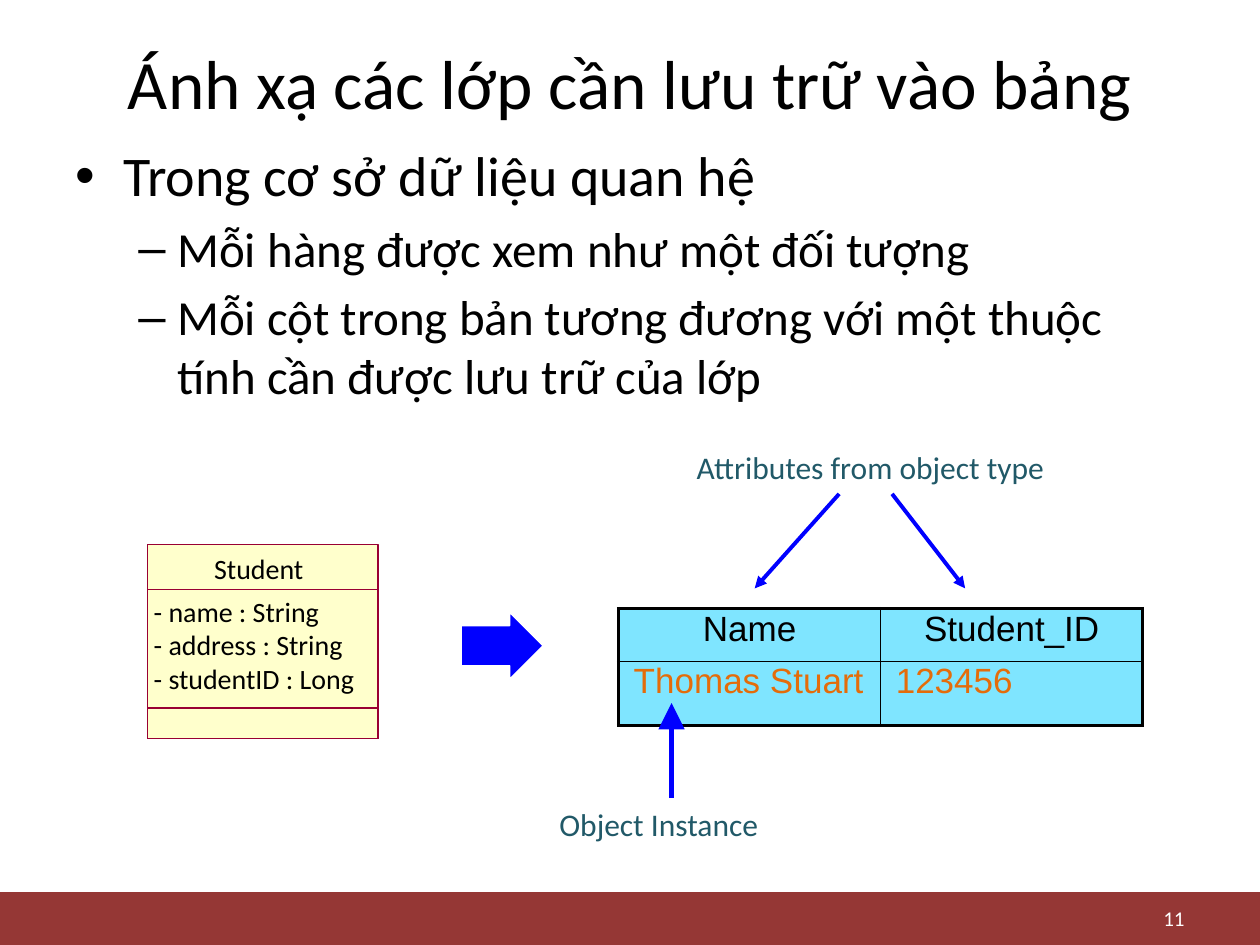
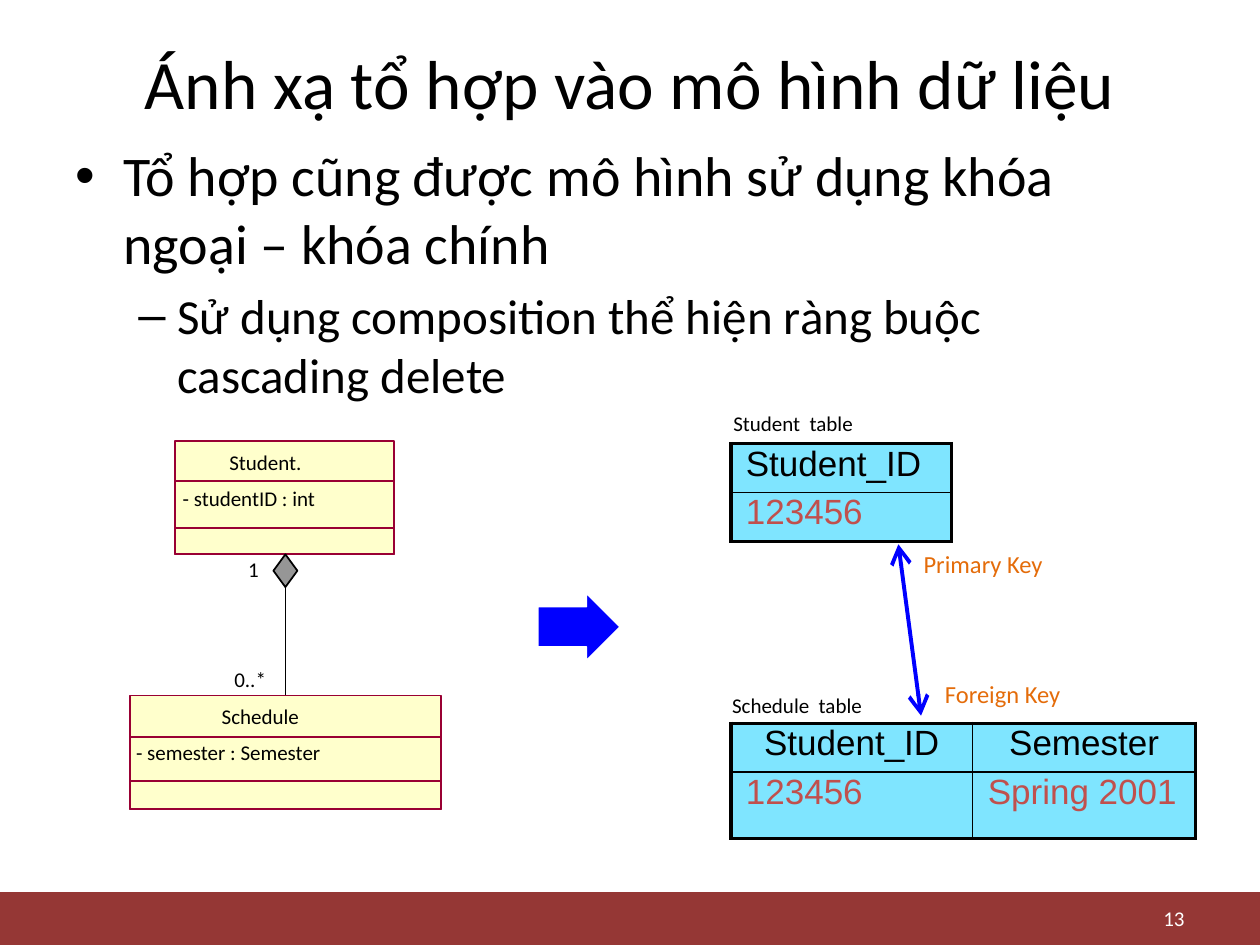
import pptx
import pptx.util
import pptx.dml.color
import pptx.enum.shapes
import pptx.enum.text
import pptx.oxml
import pptx.oxml.ns
from lxml import etree

Inches, Pt = pptx.util.Inches, pptx.util.Pt
RGBColor = pptx.dml.color.RGBColor
Align = pptx.enum.text.PP_ALIGN
Anchor = pptx.enum.text.MSO_ANCHOR
Preset = pptx.enum.shapes.MSO_SHAPE
qn = pptx.oxml.ns.qn

BLACK = RGBColor(0x00, 0x00, 0x00)
WHITE = RGBColor(0xFF, 0xFF, 0xFF)
BAND_RED = RGBColor(0x95, 0x37, 0x35)
CLASS_FILL = RGBColor(0xFF, 0xFF, 0xCC)
CLASS_LINE = RGBColor(0x99, 0x00, 0x33)
TABLE_CYAN = RGBColor(0x00, 0xCC, 0xFF)
ARROW_BLUE = RGBColor(0x00, 0x00, 0xFF)
TEAL = RGBColor(0x21, 0x59, 0x68)
ORANGE = RGBColor(0xE4, 0x6C, 0x0A)
BRICK = RGBColor(0xC0, 0x50, 0x4D)
GRAY = RGBColor(0x96, 0x96, 0x96)

LABEL_INSETS = (0.12, 0.06)
THICK, THIN = 2.25, 1
# level: (bullet, size, left margin, first-line indent)
BULLETS = {0: ("•", 32, 0.38, -0.38), 1: ("–", 28, 0.81, -0.31)}

SLIDES = [
    {
        "number": 11,
        "title": "Ánh xạ các lớp cần lưu trữ vào bảng",
        "body": [
            (0, "Trong cơ sở dữ liệu quan hệ"),
            (1, "Mỗi hàng được xem như một đối tượng"),
            (1, "Mỗi cột trong bản tương đương với một thuộc tính cần được lưu trữ của lớp"),
        ],
        "classes": [
            {"box": (1.17, 4.32, 1.83, 1.54), "dividers": (4.68, 5.62), "border": 0, "size": 16,
             "name": ("Student", 1.7, 4.38, 0.85),
             "attributes": [("- name : String", 1.22, 4.72, 1.53),
                            ("- address : String", 1.22, 4.98, 1.77),
                            ("- studentID : Long", 1.22, 5.25, 1.77)]},
        ],
        "tables": [
            {"at": (4.91, 4.83), "columns": (2.08, 2.08), "rows": (0.42, 0.51),
             "header_align": Align.CENTER, "value_color": ORANGE,
             "cells": [("Name", "Student_ID"), ("Thomas Stuart", "123456")]},
        ],
        "labels": [
            ("Object Instance", 4.32, 6.33, 1.83, 18, TEAL),
            ("Attributes from object type", 5.41, 3.5, 3.14, 18, TEAL),
        ],
        "arrows": [
            ((5.33, 6.33), (5.33, 5.58), 3, {"tailEnd": ("triangle", "lg")}),
            ((6.66, 3.92), (5.99, 4.67), 2.25, {"tailEnd": ("triangle", "med")}),
            ((7.08, 3.92), (7.66, 4.67), 2.25, {"tailEnd": ("triangle", "med")}),
        ],
        "block_arrow": (3.66, 4.86),
    },
    {
        "number": 13,
        "title": "Ánh xạ tổ hợp vào mô hình dữ liệu",
        "body": [
            (0, "Tổ hợp cũng được mô hình sử dụng khóa ngoại – khóa chính"),
            (1, "Sử dụng composition thể hiện ràng buộc cascading delete"),
        ],
        "classes": [
            {"box": (1.39, 3.5, 1.74, 0.9), "dividers": (3.82, 4.19), "border": 1, "size": 12,
             "name": ("Student.", 1.82, 3.57, 0.62),
             "attributes": [("- studentID : int", 1.45, 3.85, 1.13)]},
            {"box": (1.03, 5.52, 2.47, 0.9), "dividers": (5.85, 6.2), "border": 1, "size": 12,
             "name": ("Schedule", 1.76, 5.58, 0.69),
             "attributes": [("- semester : Semester", 1.08, 5.87, 1.64)]},
        ],
        "composition": {"diamond": (2.17, 4.4, 0.19, 0.26),
                        "multiplicities": [("0..*", 1.86, 5.29, 0.35), ("1", 1.97, 4.42, 0.12)]},
        "tables": [
            {"at": (5.8, 5.74), "columns": (1.92, 1.77), "rows": (0.38, 0.53),
             "header_align": Align.CENTER, "value_color": BRICK,
             "cells": [("Student_ID", "Semester"), ("123456", "Spring 2001")]},
            {"at": (5.8, 3.52), "columns": (1.75,), "rows": (0.38, 0.39),
             "header_align": Align.LEFT, "value_color": BRICK,
             "cells": [("Student_ID",), ("123456",)]},
        ],
        "labels": [
            ("Schedule  table", 5.69, 5.44, 1.38, 12, BLACK),
            ("Student  table", 5.7, 3.2, 1.26, 12, BLACK),
            ("Foreign Key", 7.38, 5.33, 1.16, 14, ORANGE),
            ("Primary Key", 7.21, 4.3, 1.19, 14, ORANGE),
        ],
        "arrows": [((7.13, 4.32), (7.31, 5.68), 2.25,
                    {"headEnd": ("arrow", "lg"), "tailEnd": ("arrow", "lg")})],
        "block_arrow": (4.27, 4.71),
    },
]


def inches(*lengths):
    return [Inches(length) for length in lengths]


def format_paragraph(paragraph, size, color, font="Calibri", align=Align.LEFT):
    paragraph.alignment = align
    for run in paragraph.runs:
        run.font.size, run.font.name = Pt(size), font
        run.font.color.rgb = color


def set_margins(target, horizontal, vertical):
    target.margin_left = target.margin_right = Inches(horizontal)
    target.margin_top = target.margin_bottom = Inches(vertical)


def add_text(slide, text, box, size, color, align=Align.LEFT, anchor=Anchor.TOP):
    text_frame = slide.shapes.add_textbox(*inches(*box)).text_frame
    text_frame.word_wrap = True
    text_frame.vertical_anchor = anchor
    text_frame.text = text
    for paragraph in text_frame.paragraphs:
        format_paragraph(paragraph, size, color, align=align)
    return text_frame


def add_label(slide, text, left, top, width, size, color=BLACK, insets=(0, 0)):
    """Add one unwrapped line whose box grows with its text."""
    height = size * 1.22 / 72 + 2 * insets[1]
    text_frame = add_text(slide, text, (left, top, width, height), size, color)
    set_margins(text_frame, *insets)
    text_frame.word_wrap = False
    text_frame.auto_size = pptx.enum.text.MSO_AUTO_SIZE.SHAPE_TO_FIT_TEXT


def add_shape(slide, preset, box, fill=None, line=None, width=1):
    shape = slide.shapes.add_shape(preset, *inches(*box))
    shape.shadow.inherit = False
    if fill is None:
        shape.fill.background()
    else:
        shape.fill.solid()
        shape.fill.fore_color.rgb = fill
    if line is None:
        shape.line.fill.background()
    else:
        shape.line.color.rgb = line
        shape.line.width = Pt(width)
    return shape


def add_line(slide, start, end, color, width, heads):
    connector = slide.shapes.add_connector(
        pptx.enum.shapes.MSO_CONNECTOR.STRAIGHT, *inches(*start, *end))
    connector.line.color.rgb = color
    connector.line.width = Pt(width)
    properties = connector._element.spPr
    for end_name, (kind, size) in heads.items():
        etree.SubElement(properties.find(qn("a:ln")), qn("a:" + end_name),
                         type=kind, w=size, len=size)
    etree.SubElement(properties, qn("a:effectLst"))
    return connector


def add_body(slide, items):
    text_frame = add_text(slide, "\n".join(text for _, text in items),
                          (0.5, 1.07, 8.9, 5.63), 28, BLACK)
    for index, (level, _) in enumerate(items):
        paragraph = text_frame.paragraphs[index]
        bullet, size, margin, indent = BULLETS[level]
        format_paragraph(paragraph, size, BLACK)
        paragraph.level = level
        paragraph.space_before = Pt(5.6 if index else 0)
        properties = paragraph._p.get_or_add_pPr()
        properties.set("marL", str(Inches(margin)))
        properties.set("indent", str(Inches(indent)))
        etree.SubElement(properties, qn("a:buFont"), typeface="Arial")
        etree.SubElement(properties, qn("a:buChar"), char=bullet)


def add_class(slide, content):
    """Draw a class box with its three compartments and return the outer box."""
    left, top, width, height = content["box"]
    outer = add_shape(slide, Preset.RECTANGLE, content["box"], CLASS_FILL,
                      CLASS_LINE, content["border"])
    for divider in content["dividers"]:
        add_shape(slide, Preset.RECTANGLE, (left, divider, width, top + height - divider),
                  None, CLASS_LINE, content["border"])
    for label in [content["name"], *content["attributes"]]:
        add_label(slide, *label, content["size"])
    return outer


def add_composition(slide, content, part):
    """Join the part's class box to the diamond under the whole."""
    left, top, width, height = content["diamond"]
    diamond = add_shape(slide, Preset.DIAMOND, content["diamond"], GRAY, BLACK)
    middle = left + width / 2
    line = add_line(slide, (middle, 5.52), (middle, top + height), BLACK, 1, {})
    line.begin_connect(part, 0)
    line.end_connect(diamond, 2)
    for label in content["multiplicities"]:
        add_label(slide, *label, 12)


def set_borders(cell, widths):
    properties = cell._tc.get_or_add_tcPr()
    for index, (side, width) in enumerate(widths.items()):
        border = etree.Element(qn("a:ln" + side), w=str(Pt(width)))
        fill = etree.SubElement(border, qn("a:solidFill"))
        etree.SubElement(fill, qn("a:srgbClr"), val=str(BLACK))
        properties.insert(index, border)


def add_data_table(slide, content):
    columns, rows = content["columns"], content["rows"]
    table = slide.shapes.add_table(
        len(rows), len(columns), *inches(*content["at"], sum(columns), sum(rows))).table
    table.first_row = table.horz_banding = False
    for column, width in zip(table.columns, columns):
        column.width = Inches(width)
    for row, height in zip(table.rows, rows):
        row.height = Inches(height)
    for i, texts in enumerate(content["cells"]):
        for j, text in enumerate(texts):
            cell = table.cell(i, j)
            set_margins(cell, *LABEL_INSETS)
            cell.text_frame.text = text
            paragraph = cell.text_frame.paragraphs[0]
            color, align = ((content["value_color"], Align.LEFT) if i
                            else (BLACK, content["header_align"]))
            format_paragraph(paragraph, 20, color, "Arial", align)
            paragraph.line_spacing = 0.8
            cell.fill.solid()
            cell.fill.fore_color.rgb = TABLE_CYAN
            fill_color = cell._tc.tcPr.find(".//" + qn("a:srgbClr"))
            etree.SubElement(fill_color, qn("a:alpha"), val="50000")
            set_borders(cell, {
                "L": THIN if j else THICK,
                "R": THICK if j == len(columns) - 1 else THIN,
                "T": THIN if i else THICK,
                "B": THICK if i == len(rows) - 1 else THIN,
            })


def add_frame(slide, content):
    """Add what every slide shares: footer band, title, body and number."""
    add_shape(slide, Preset.RECTANGLE, (0, 7.08, 10, 0.42), BAND_RED)
    add_text(slide, content["title"], (0.5, 0.3, 9, 0.7), 39.6, BLACK,
             Align.CENTER, Anchor.MIDDLE)
    add_body(slide, content["body"])
    add_text(slide, str(content["number"]), (7.17, 7.15, 2.33, 0.27), 12, WHITE,
             Align.RIGHT, Anchor.MIDDLE)


def build_slide(presentation, content):
    slide = presentation.slides.add_slide(presentation.slide_layouts[6])
    add_frame(slide, content)
    class_boxes = [add_class(slide, item) for item in content["classes"]]
    if "composition" in content:
        add_composition(slide, content["composition"], class_boxes[-1])
    for table in content["tables"]:
        add_data_table(slide, table)
    for label in content["labels"]:
        add_label(slide, *label, insets=LABEL_INSETS)
    for start, end, width, heads in content["arrows"]:
        add_line(slide, start, end, ARROW_BLUE, width, heads)
    block_arrow = add_shape(slide, Preset.RIGHT_ARROW, (*content["block_arrow"], 0.65, 0.53),
                            ARROW_BLUE, WHITE, 0.75)
    block_arrow.adjustments[0], block_arrow.adjustments[1] = 0.6, 0.5


def main():
    presentation = pptx.Presentation()
    presentation.slide_width, presentation.slide_height = Inches(10), Inches(7.5)
    for content in SLIDES:
        build_slide(presentation, content)
    presentation.save("out.pptx")


if __name__ == "__main__":
    main()
